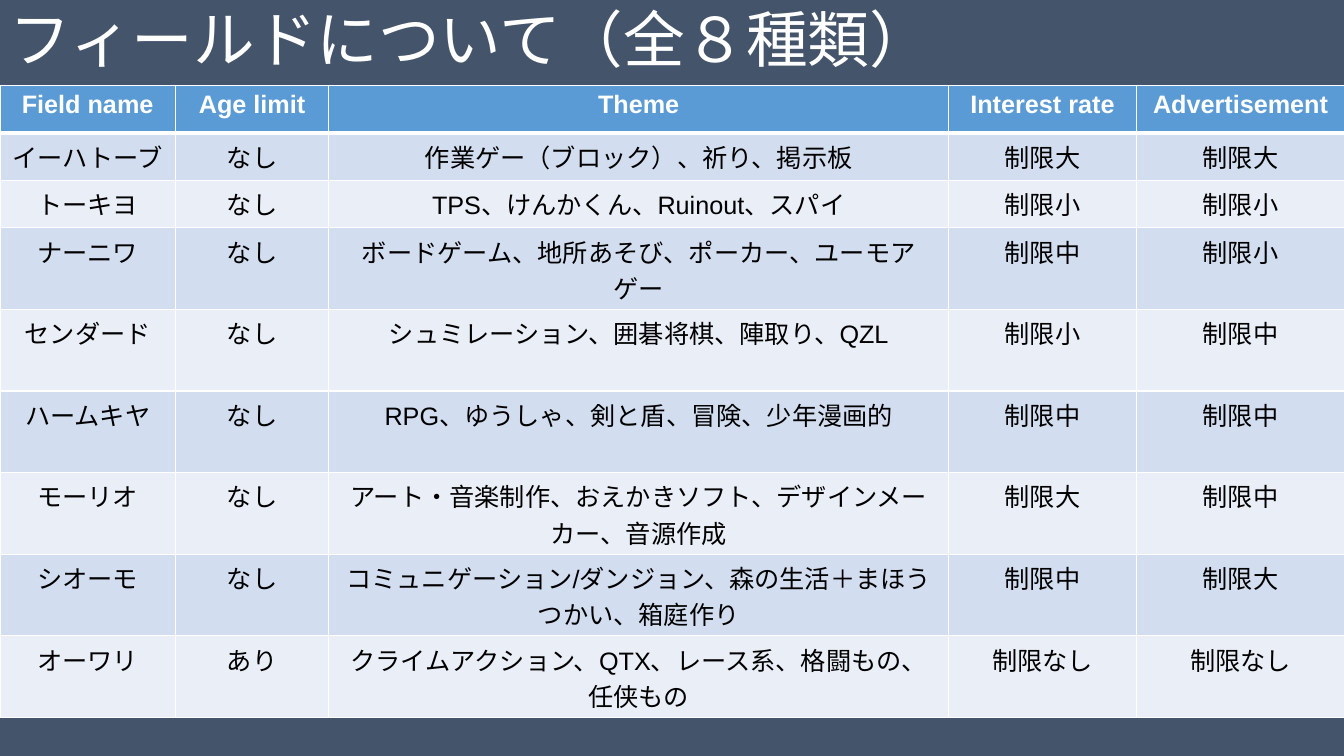
from lxml.etree import SubElement
from pptx import Presentation
from pptx.dml.color import RGBColor
from pptx.enum.text import MSO_ANCHOR, PP_ALIGN
from pptx.oxml.ns import qn
from pptx.util import Inches, Pt

COLORS = {
    "background": "44546A",
    "header": "5B9BD5",
    "odd": "D2DEEF",
    "even": "EAEFF7",
    "light": "FFFFFF",
    "dark": "000000",
}
FONT = "Arial"
HEADINGS = ("Field name", "Age limit", "Theme", "Interest rate", "Advertisement")
FIELDS = (
    ("イーハトーブ", "なし", "作業ゲー（ブロック）、祈り、掲示板", "制限大", "制限大"),
    ("トーキヨ", "なし", "TPS、けんかくん、Ruinout、スパイ", "制限小", "制限小"),
    ("ナーニワ", "なし", "ボードゲーム、地所あそび、ポーカー、ユーモアゲー", "制限中", "制限小"),
    ("センダード", "なし", "シュミレーション、囲碁将棋、陣取り、QZL", "制限小", "制限中"),
    ("ハームキヤ", "なし", "RPG、ゆうしゃ、剣と盾、冒険、少年漫画的", "制限中", "制限中"),
    ("モーリオ", "なし", "アート・音楽制作、おえかきソフト、デザインメーカー、音源作成", "制限大", "制限中"),
    ("シオーモ", "なし", "コミュニゲーション/ダンジョン、森の生活＋まほうつかい、箱庭作り", "制限中", "制限大"),
    ("オーワリ", "あり", "クライムアクション、QTX、レース系、格闘もの、任侠もの", "制限なし", "制限なし"),
)
COLUMN_WIDTHS = (1.74, 1.52, 6.15, 1.86, 2.07)
ROW_HEIGHTS = (0.47,) * 3 + (0.81,) * 6


def rgb(name):
    return RGBColor.from_string(COLORS[name])


def style_paragraph(paragraph, size, color, bold=False):
    font = paragraph.font
    font.name = FONT
    font.size = Pt(size)
    font.bold = bold
    font.color.rgb = rgb(color)


def add_title(slide, wording):
    title = slide.shapes.add_textbox(0, 0, Inches(11.5), Inches(0.85))
    frame = title.text_frame
    frame.word_wrap = True
    frame.vertical_anchor = MSO_ANCHOR.MIDDLE
    paragraph = frame.paragraphs[0]
    paragraph.text = wording
    paragraph.line_spacing = 0.9
    style_paragraph(paragraph, 44, "light")


def add_borders(cell, bottom_width):
    properties = cell._tc.get_or_add_tcPr()
    widths = {"lnL": 1, "lnR": 1, "lnT": 1, "lnB": bottom_width}
    for position, (side, width) in enumerate(widths.items()):
        border = SubElement(properties, qn(f"a:{side}"), w=str(Pt(width)))
        fill = SubElement(border, qn("a:solidFill"))
        SubElement(fill, qn("a:srgbClr"), val=COLORS["light"])
        properties.insert(position, border)


def fill_cell(cell, wording, background, is_header):
    cell.fill.solid()
    cell.fill.fore_color.rgb = rgb(background)
    add_borders(cell, 3 if is_header else 1)
    paragraph = cell.text_frame.paragraphs[0]
    paragraph.text = wording
    paragraph.alignment = PP_ALIGN.CENTER
    style_paragraph(paragraph, 18, "light" if is_header else "dark", is_header)


def add_field_table(slide):
    rows = (HEADINGS,) + FIELDS
    fields = slide.shapes.add_table(
        len(rows), len(HEADINGS), 0, Inches(0.85), Inches(13.33), Inches(6.28)
    ).table
    for column, width in zip(fields.columns, COLUMN_WIDTHS):
        column.width = Inches(width)
    for row, height in zip(fields.rows, ROW_HEIGHTS):
        row.height = Inches(height)
    for row_number, row in enumerate(rows):
        is_header = row_number == 0
        background = "header" if is_header else "odd" if row_number % 2 else "even"
        for column_number, wording in enumerate(row):
            fill_cell(fields.cell(row_number, column_number), wording, background, is_header)


def main():
    presentation = Presentation()
    presentation.slide_width = Inches(13.33)
    presentation.slide_height = Inches(7.5)
    slide = presentation.slides.add_slide(presentation.slide_layouts[6])
    slide.background.fill.solid()
    slide.background.fill.fore_color.rgb = rgb("background")
    add_title(slide, "フィールドについて（全８種類）")
    add_field_table(slide)
    presentation.save("out.pptx")


if __name__ == "__main__":
    main()
